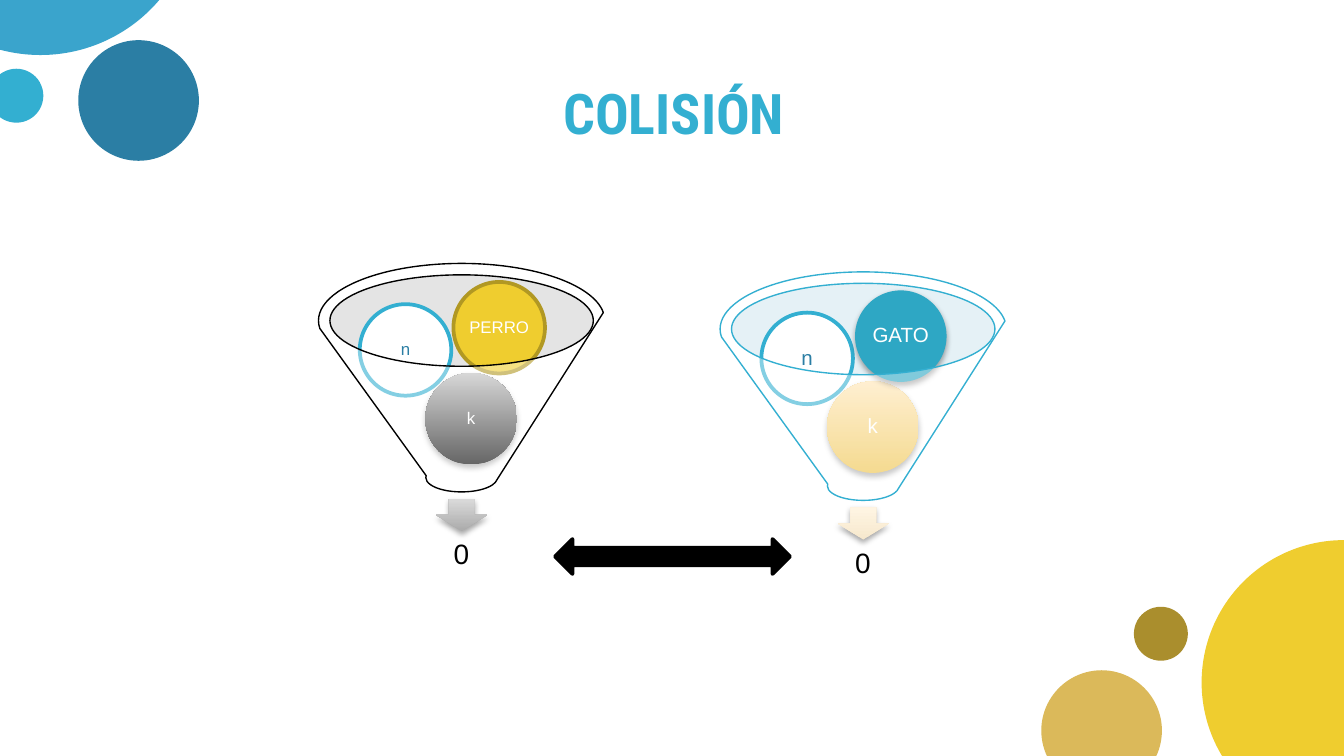
from dataclasses import dataclass

from lxml.etree import SubElement
from pptx import Presentation
from pptx.dml.color import RGBColor
from pptx.enum.shapes import MSO_SHAPE
from pptx.enum.text import MSO_ANCHOR, PP_ALIGN
from pptx.oxml.ns import qn
from pptx.util import Cm, Pt


@dataclass(frozen=True)
class Theme:
    head: str = "Roboto Condensed"
    body: str = "Arial"
    title: int = 30
    result: int = 15
    thin: float = 0.75
    thick: int = 2
    black: str = "000000"
    white: str = "FFFFFF"
    cyan: str = "33AFD1"
    blue: str = "2B7EA4"
    sky: str = "3AA4CC"
    teal: str = "2EA7C4"
    yellow: str = "EFCD2F"
    sand: str = "DBB95A"
    olive: str = "AA8E2D"
    mustard: str = "B19823"
    grey: str = "BDBDBD"
    pale: str = "BFDCE9"
    metal: tuple = ("ABABAB", "DADADA")
    cream: tuple = ("F6E8CD", "FFF5E3")
    dark: tuple = ("000000", "BDBDBD")
    gold: tuple = ("EEC247", "FFE5B3")


theme = Theme()


def write(shape, text, size, color, font=theme.body, bold=False, inset=0.03,
          anchor=MSO_ANCHOR.MIDDLE, wrap=False, spacing=0.9):
    frame = shape.text_frame
    frame.word_wrap = wrap
    frame.vertical_anchor = anchor
    frame.margin_left = frame.margin_right = Cm(inset)
    frame.margin_top = frame.margin_bottom = Cm(inset)
    par = frame.paragraphs[0]
    par.alignment = PP_ALIGN.CENTER
    par.line_spacing = spacing
    run = par.add_run()
    run.text = text
    run.font.name = font
    run.font.size = Pt(size)
    run.font.bold = bold
    run.font.color.rgb = RGBColor.from_string(color)


def draw(shapes, kind, box, fill, line=None, width=theme.thick, alpha=None, shadow=False):
    shape = shapes.add_shape(kind, *[Cm(side) for side in box])
    shape.shadow.inherit = False
    props = shape._element.spPr
    if isinstance(fill, tuple):
        shape.fill.gradient()
        shape.fill.gradient_angle = 90
        for stop, color in zip(shape.fill.gradient_stops, fill):
            stop.color.rgb = RGBColor.from_string(color)
    else:
        shape.fill.solid()
        shape.fill.fore_color.rgb = RGBColor.from_string(fill)
    if alpha:
        color = props.find(qn("a:solidFill")).find(qn("a:srgbClr"))
        SubElement(color, qn("a:alpha"), val=str(alpha * 1000))
    if line:
        shape.line.color.rgb = RGBColor.from_string(line)
        shape.line.width = Pt(width)
    else:
        shape.line.fill.background()
    if shadow:
        outer = SubElement(props.find(qn("a:effectLst")), qn("a:outerShdw"),
                           blurRad=str(Pt(3.1)), dist=str(Pt(1.8)),
                           dir="5400000", rotWithShape="0")
        color = SubElement(outer, qn("a:srgbClr"), val=theme.black)
        SubElement(color, qn("a:alpha"), val="35000")
    return shape


deck = Presentation()
deck.slide_width, deck.slide_height = Cm(25.4), Cm(14.29)
slide = deck.slides.add_slide(deck.slide_layouts[5])

# Corner circles: left, top, diameter, colour
for left, top, size, color in [
    (22.71, 10.21, 5.38, theme.yellow),
    (19.68, 12.67, 2.28, theme.sand),
    (21.43, 11.47, 1.02, theme.olive),
    (-2.18, -4.85, 5.89, theme.sky),
    (1.48, 0.76, 2.28, theme.blue),
    (-0.2, 1.3, 1.02, theme.cyan),
]:
    draw(slide.shapes, MSO_SHAPE.OVAL, (left, top, size, size), color)

# Title
title = slide.shapes.title
title.left, title.top, title.width, title.height = Cm(1.98), Cm(1.24), Cm(21.51), Cm(1.6)
write(title, "COLISIÓN", theme.title, theme.cyan, font=theme.head, bold=True,
      inset=0.25, anchor=MSO_ANCHOR.TOP, wrap=True, spacing=1)

# Hash funnels: left, top, word, type size, outline, mouth, arrow, key ball, word ball
ball = 1.73
for x, y, word, size, edge, mouth, arrow, key, style in [
    (6.02, 4.98, "PERRO", 9, theme.black, theme.grey, theme.metal, theme.dark,
     {"fill": theme.yellow, "line": theme.mustard}),
    (13.61, 5.14, "GATO", 11, theme.cyan, theme.pale, theme.cream, theme.gold,
     {"fill": theme.teal, "shadow": True}),
]:
    group = slide.shapes.add_group_shape().shapes
    draw(group, MSO_SHAPE.OVAL, (x + 0.21, y + 0.21, 4.98, ball), mouth, alpha=40)
    draw(group, MSO_SHAPE.DOWN_ARROW, (x + 2.22, y + 4.45, 0.97, 0.61), arrow, shadow=True)
    label = group.add_textbox(Cm(x + 0.39), Cm(y + 4.94), Cm(4.62), Cm(1.17))
    write(label, "0", theme.result, theme.black, inset=0.3, wrap=True)
    for dx, dy, text, ink, look in [
        (2.02, 2.07, "k", theme.white, {"fill": key, "shadow": True}),
        (0.78, 0.77, "n", theme.blue, {"fill": theme.white, "line": theme.cyan}),
        (2.55, 0.35, word, theme.white, style),
    ]:
        disc = draw(group, MSO_SHAPE.OVAL, (x + dx, y + dy, ball, ball), **look)
        write(disc, text, size, ink)
    draw(group, MSO_SHAPE.FUNNEL, (x, y, 5.41, 4.32), theme.white,
         line=edge, width=theme.thin, alpha=40)

# Arrow between the equal results
draw(slide.shapes, MSO_SHAPE.LEFT_RIGHT_ARROW, (10.49, 10.19, 4.44, 0.66),
     theme.black, line=theme.black)

deck.save("out.pptx")
